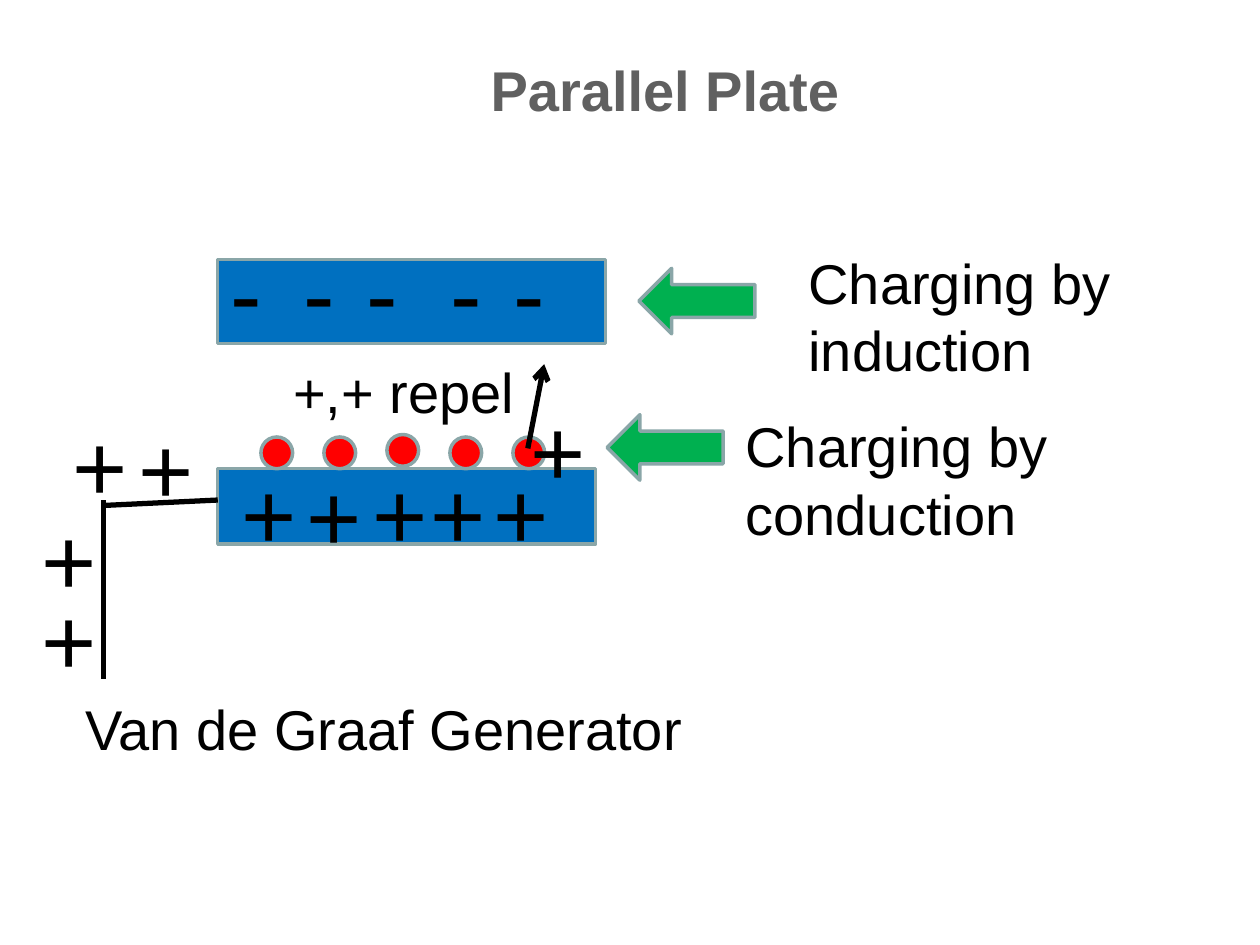
import pptx
import pptx.dml.color
import pptx.enum.shapes
import pptx.enum.text
import pptx.oxml
import pptx.oxml.ns
import pptx.util

"""Build the parallel plate charging slide."""

Cm, Pt = pptx.util.Cm, pptx.util.Pt
SHAPE = pptx.enum.shapes.MSO_SHAPE
ALIGN = pptx.enum.text.PP_ALIGN
ANCHOR = pptx.enum.text.MSO_ANCHOR

BLACK, GREY, EDGE = "000000", "606060", "8AA6A8"
BLUE, RED, GREEN = "0070C0", "FF0000", "00B050"

TITLE = ("Parallel Plate", (1.98, 0.2, 22.86, 3.18))
LABELS = [
    ("Charging by induction", (16.05, 4.88, 8.89, 2.41)),
    ("Charging by conduction", (14.78, 8.18, 8.89, 2.41)),
    ("+,+ repel", (5.66, 7.09, 6.15, 1.68)),
    ("Van de Graaf Generator", (1.47, 13.87, 18.87, 1.78)),
]
PLATES = [(4.39, 9.45, 7.62, 1.52), (4.39, 5.23, 7.82, 1.7)]
ARROWS = [(12.88, 5.41), (12.24, 8.36)]
DOT_LEFT, DOT_STEP, DOT_SIZE = 5.26, 1.27, 0.64
DOT_TOPS = [8.81, 8.81, 8.76, 8.81, 8.81]
WIRES = [(4.39, 10.08, 2.08, 10.19), (2.08, 10.08, 2.08, 13.69)]
REPEL_PATH = (10.64, 9.04, 10.97, 7.34)
WIRE_PLUSES = [(0.58, 11.58), (0.58, 9.98), (2.54, 8.15), (1.22, 8.08)]
PLATE_PLUSES = [(4.62, 9.04), (5.92, 9.09), (7.26, 9.04), (8.43, 9.04), (9.7, 9.04)]
REPELLED_PLUS = (10.44, 7.77)
MINUS_LEFTS, MINUS_TOP = [4.39, 5.87, 7.14, 8.84, 10.11], 4.6


def rgb(code):
    """Return a colour from a hex string."""
    return pptx.dml.color.RGBColor.from_string(code)


def add_shape(kind, box, fill):
    """Add an outlined preset shape."""
    sp = s.shapes.add_shape(kind, *map(Cm, box))
    sp.shadow.inherit = False
    sp.fill.solid()
    sp.fill.fore_color.rgb = rgb(fill)
    sp.line.color.rgb = rgb(EDGE)
    sp.line.width = Pt(2)


def add_text(text, box, size=32, color=BLACK, bold=False, before=3,
             align=ALIGN.LEFT, anchor=ANCHOR.TOP):
    """Add a wrapped text box."""
    tf = s.shapes.add_textbox(*map(Cm, box)).text_frame
    p = tf.paragraphs[0]
    r = p.add_run()
    r.text = text
    formats = [
        (tf, {"word_wrap": True, "vertical_anchor": anchor}),
        (p, {"alignment": align, "space_before": Pt(before)}),
        (r.font, {"name": "Arial", "size": Pt(size), "bold": bold}),
    ]
    for target, values in formats:
        for name, value in values.items():
            setattr(target, name, value)
    r.font.color.rgb = rgb(color)


def add_line(ends, arrow=False):
    """Add a straight line, with an arrowhead at its end on request."""
    line = s.shapes.add_connector(pptx.enum.shapes.MSO_CONNECTOR.STRAIGHT, *map(Cm, ends))
    line.line.color.rgb = rgb(BLACK)
    line.line.width = Pt(3)
    if arrow:
        head = pptx.oxml.parse_xml(
            '<a:tailEnd %s type="arrow"/>' % pptx.oxml.ns.nsdecls("a"))
        line.line._get_or_add_ln().append(head)
    line._element.spPr.append(
        pptx.oxml.parse_xml("<a:effectLst %s/>" % pptx.oxml.ns.nsdecls("a")))


prs = pptx.Presentation()
prs.slide_width, prs.slide_height = Cm(25.4), Cm(19.05)
s = prs.slides.add_slide(prs.slide_layouts[6])

add_text(*TITLE, color=GREY, bold=True, before=0, align=ALIGN.CENTER, anchor=ANCHOR.MIDDLE)
for plate in PLATES:
    add_shape(SHAPE.RECTANGLE, plate, BLUE)
for i, top in enumerate(DOT_TOPS):
    add_shape(SHAPE.OVAL, (DOT_LEFT + i * DOT_STEP, top, DOT_SIZE, DOT_SIZE), RED)
for wire in WIRES:
    add_line(wire)
for spot in WIRE_PLUSES + PLATE_PLUSES + [REPELLED_PLUS]:
    add_text("+", (*spot, 2.34, 2.03), size=54, before=5)
for left in MINUS_LEFTS:
    add_text("-", (left, MINUS_TOP, 1.5, 2.03), size=54, before=5)
for spot in ARROWS:
    add_shape(SHAPE.LEFT_ARROW, (*spot, 2.34, 1.32), GREEN)
add_line(REPEL_PATH, arrow=True)
for text, box in LABELS:
    add_text(text, box)

prs.save("out.pptx")
